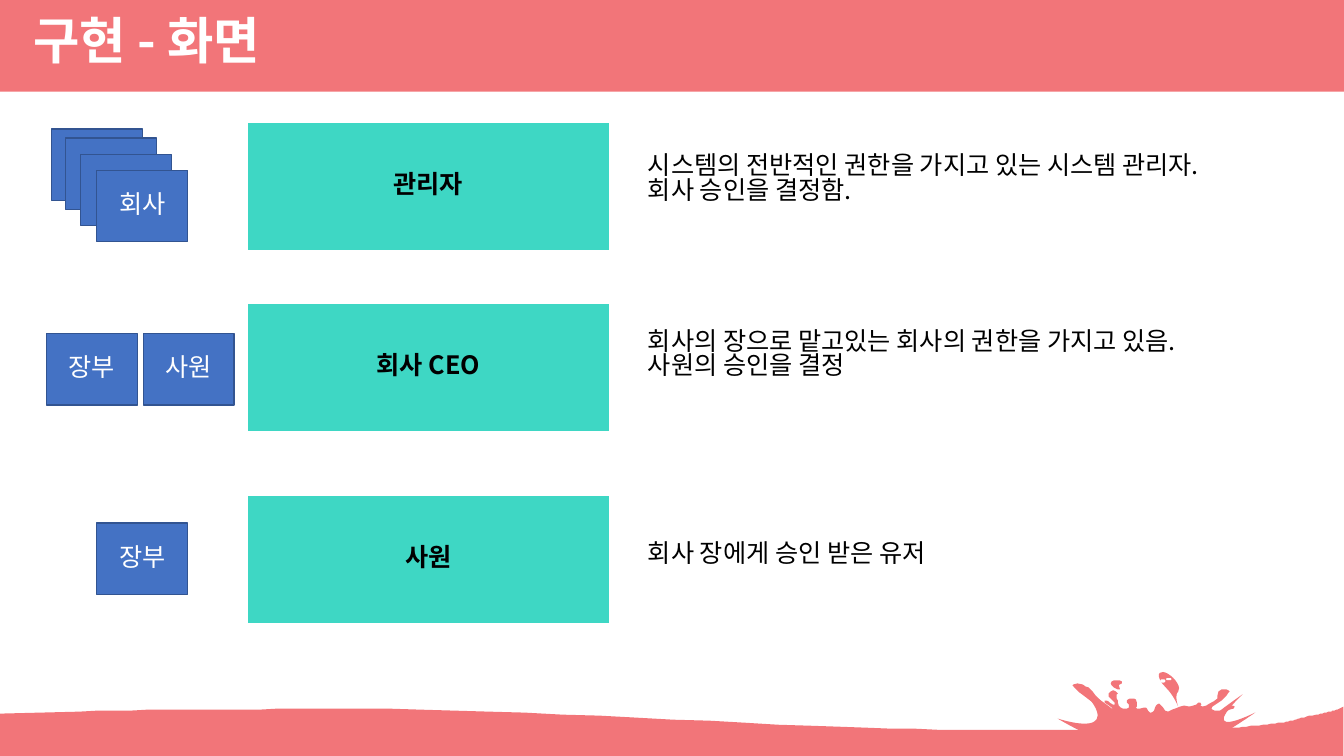
from dataclasses import dataclass

from lxml.etree import SubElement
from pptx import Presentation
from pptx.dml.color import RGBColor
from pptx.enum.shapes import MSO_SHAPE as Kind
from pptx.enum.text import MSO_ANCHOR as Anchor, MSO_AUTO_SIZE as Fit, PP_ALIGN as Align
from pptx.oxml.ns import qn
from pptx.util import Cm, Pt

FONT = "Noto Sans CJK KR"
HUE = {"coral": "F27579", "mint": "3ED7C4", "blue": "4472C4",
       "edge": "325491", "white": "FFFFFF", "black": "000000"}
UNIT = 2.54 / 100  # cm in one step of the outlines below

BOX_X, BOX_W, BOX_H = 6.25, 9.09, 3.2
NOTE_X = 16.08
CARD_W, CARD_H = 2.29, 1.8


@dataclass
class Role:
    name: str
    top: float
    note: str
    note_top: float
    note_w: float
    note_h: float


@dataclass
class Card:
    left: float
    top: float
    name: str = ""


@dataclass
class Drop:
    kind: Kind
    left: float
    top: float
    width: float
    height: float
    turn: float
    bend: float
    hue: str = "coral"


ROLES = [
    Role("관리자", 3.1, "시스템의 전반적인 권한을 가지고 있는 시스템 관리자.\n회사 승인을 결정함.",
         3.78, 16.13, 1.8),
    Role("회사 CEO", 7.65, "회사의 장으로 맡고있는 회사의 권한을 가지고 있음.\n사원의 승인을 결정",
         8.2, 15.5, 1.8),
    Role("사원", 12.5, "회사 장에게 승인 받은 유저", 13.56, 8.48, 1.02),
]
CARDS = [
    Card(1.3, 3.25), Card(1.65, 3.48), Card(2.03, 3.89), Card(2.44, 4.29, "회사"),
    Card(1.17, 8.41, "장부"), Card(3.61, 8.41, "사원"), Card(2.44, 13.18, "장부"),
]
DROPS = [
    Drop(Kind.MOON, 26.75, 17.75, 2.16, 0.97, 210.4, 0.603),
    Drop(Kind.MOON, 29.51, 18.06, 2.16, 0.56, 325.3, 0.646),
    Drop(Kind.TEAR, 29.13, 17.04, 0.66, 0.3, 45, 1.801),
    Drop(Kind.ROUNDED_RECTANGLE, 29.24, 17.12, 0.13, 0.08, 0, 0.5, "white"),
    Drop(Kind.ROUNDED_RECTANGLE, 29.39, 17.09, 0.13, 0.05, 0, 0.5, "white"),
]

# Each curve holds two control points and an end point.
WAVE = [
    (1320, 706, 1312, 708, 1306, 709), (1284, 713, 1287, 715, 1271, 717),
    (1256, 719, 1226, 722, 1211, 723), (1196, 724, 1199, 723, 1179, 723),
    (1151, 723, 1123, 723, 1095, 723), (1095, 723, 1009, 726, 886, 723),
    (762, 720, 509, 703, 354, 703), (238, 704, 176, 703, 79, 706),
]
SPLASH = [
    (1082, 727), (1202, 723), (1200, 722), (1200, 719), (1201, 717), (1206, 713), (1200, 713),
    (1174, 709), (1163, 707), (1159, 706), (1156, 705), (1154, 702), (1152, 700), (1151, 699),
    (1150, 698), (1148, 699), (1147, 700), (1146, 702), (1145, 705), (1144, 706), (1142, 707),
    (1141, 707), (1139, 705), (1138, 703), (1137, 702), (1135, 702), (1131, 703), (1128, 703),
    (1127, 702), (1128, 701), (1128, 697), (1127, 694), (1125, 693), (1121, 693), (1119, 694),
    (1118, 695), (1118, 697), (1119, 698), (1120, 699), (1120, 702), (1118, 703), (1114, 703),
    (1112, 702), (1110, 700), (1109, 697), (1109, 695), (1108, 693), (1108, 689), (1109, 688),
    (1108, 687), (1107, 686), (1105, 685), (1104, 685), (1102, 686), (1100, 688), (1100, 691),
    (1102, 693), (1104, 695), (1106, 697), (1106, 699), (1104, 699), (1101, 697), (1100, 696),
    (1098, 695), (1096, 695), (1096, 697), (1099, 699), (1103, 702), (1104, 704), (1102, 705),
    (1101, 705), (1093, 696), (1087, 690), (1084, 686), (1080, 682), (1077, 681), (1074, 679),
    (1069, 678), (1065, 679), (1064, 680), (1066, 682), (1071, 687), (1075, 690), (1083, 696),
    (1087, 699), (1091, 703), (1094, 707), (1097, 711), (1099, 715), (1101, 718), (1102, 721),
    (1098, 723), (1094, 723), (1090, 725),
]
SPRAY = [
    (1223, 700), (1219, 700), (1217, 701), (1215, 702), (1213, 704), (1211, 705), (1205, 705),
    (1203, 704), (1202, 703), (1203, 701), (1206, 699), (1212, 695), (1214, 693), (1217, 690),
    (1219, 687), (1220, 686), (1219, 685), (1217, 684), (1212, 684), (1209, 686), (1208, 690),
    (1208, 693), (1204, 696), (1200, 698), (1197, 700), (1193, 701), (1191, 700), (1192, 699),
    (1191, 697), (1189, 697), (1187, 699), (1184, 700), (1180, 701), (1175, 700), (1171, 701),
    (1166, 703), (1163, 704), (1159, 706), (1161, 708), (1165, 709), (1170, 711), (1176, 712),
    (1184, 714), (1205, 714), (1208, 712), (1212, 710), (1215, 707), (1218, 705), (1220, 704),
    (1224, 703), (1225, 701),
]
BEAD = [
    (1109, 684), (1107, 683), (1105, 682), (1103, 680), (1102, 678), (1103, 676), (1105, 675),
    (1111, 675), (1113, 676), (1113, 678), (1111, 679), (1110, 680), (1111, 683), (1111, 684),
]


def rgb(hue: str) -> RGBColor:
    return RGBColor.from_string(HUE[hue])


def paint(shape, hue: str, edge: str = "") -> None:
    shape.shadow.inherit = False
    shape.fill.solid()
    shape.fill.fore_color.rgb = rgb(hue)
    if edge:
        shape.line.color.rgb = rgb(edge)
        shape.line.width = Pt(1)
    else:
        shape.line.fill.background()


def block(slide, kind: Kind, left: float, top: float, width: float, height: float,
          hue: str, edge: str = ""):
    shape = slide.shapes.add_shape(kind, Cm(left), Cm(top), Cm(width), Cm(height))
    paint(shape, hue, edge)
    return shape


def write(shape, text: str, hue: str, size: int = 18, bold: bool = False,
          align: Align = Align.CENTER, anchor: Anchor = Anchor.MIDDLE) -> None:
    frame = shape.text_frame
    frame.text = text
    frame.vertical_anchor = anchor
    for para in frame.paragraphs:
        para.alignment = align
        para.line_spacing = 0.82
        for run in para.runs:
            font = run.font
            font.name, font.size, font.bold = FONT, Pt(size), bold
            font.color.rgb = rgb(hue)
            SubElement(run._r.get_or_add_rPr(), qn("a:ea")).set("typeface", FONT)


def bend(start: tuple, curve: tuple, steps: int = 16) -> list[tuple]:
    """Return points along a cubic Bezier curve, without its start."""
    knots = [start, curve[:2], curve[2:4], curve[4:]]
    spots = []
    for step in range(1, steps + 1):
        t = step / steps
        parts = ((1 - t) ** 3, 3 * t * (1 - t) ** 2, 3 * t * t * (1 - t), t ** 3)
        spots.append(tuple(sum(p * k[axis] for p, k in zip(parts, knots)) for axis in (0, 1)))
    return spots


def crest() -> list[tuple]:
    """Return the outline of the wave along the foot of the slide."""
    spots = [(0, 750), (1333.4, 750), (1333.4, 701), (1329, 703)]
    for curve in WAVE:
        spots += bend(spots[-1], curve)
    return spots + [(0, 708)]


def trace(slide, spots: list[tuple]) -> None:
    pen = slide.shapes.build_freeform(*spots[0], scale=Cm(UNIT))
    pen.add_line_segments(spots[1:], close=True)
    paint(pen.convert_to_shape(), "coral")


def main() -> None:
    deck = Presentation()
    deck.slide_width, deck.slide_height = Cm(33.87), Cm(19.05)
    slide = deck.slides.add_slide(deck.slide_layouts[5])

    for role in ROLES:
        box = block(slide, Kind.FLOWCHART_PROCESS, BOX_X, role.top, BOX_W, BOX_H, "mint")
        write(box, role.name, "black", bold=True)
        note = slide.shapes.add_textbox(Cm(NOTE_X), Cm(role.note_top),
                                        Cm(role.note_w), Cm(role.note_h))
        note.text_frame.word_wrap = False
        write(note, role.note, "black", align=Align.LEFT, anchor=Anchor.TOP)
    for card in CARDS:
        tile = block(slide, Kind.RECTANGLE, card.left, card.top, CARD_W, CARD_H, "blue", "edge")
        if card.name:
            write(tile, card.name, "white")

    block(slide, Kind.RECTANGLE, 0, 0, 33.87, 2.31, "coral")
    title = slide.shapes.title
    title.left, title.top, title.width, title.height = Cm(0.58), Cm(0.38), Cm(12.52), Cm(1.8)
    title.text_frame.auto_size = Fit.NONE
    write(title, "구현 - 화면", "white", 36, True, Align.LEFT, Anchor.TOP)
    slide.shapes._spTree.append(title._element)  # in front of the band

    for spots in (crest(), SPLASH, SPRAY, BEAD):
        trace(slide, spots)
    for drop in DROPS:
        shape = block(slide, drop.kind, drop.left, drop.top, drop.width, drop.height, drop.hue)
        shape.adjustments[0] = drop.bend
        shape.rotation = drop.turn
        shape._element.spPr.xfrm.set("flipV", "1")
    deck.save("out.pptx")


if __name__ == "__main__":
    main()
